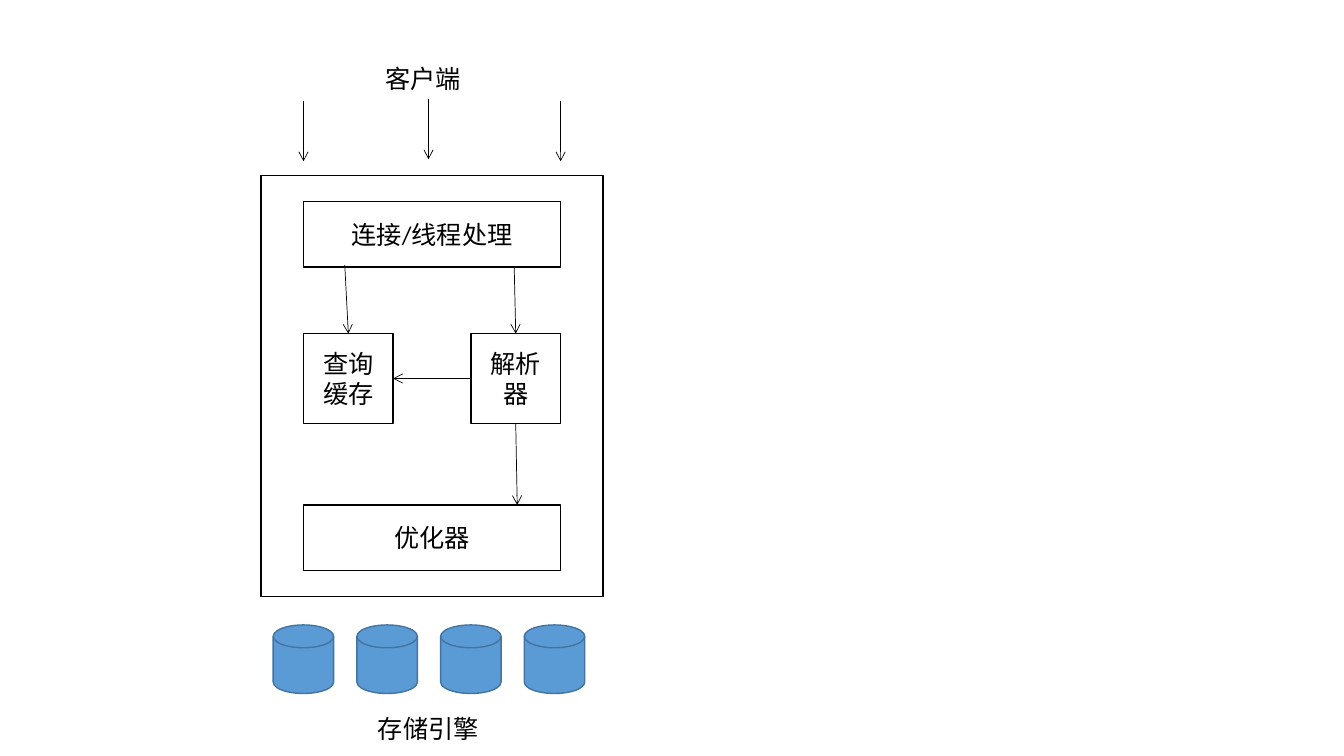
import pptx
import pptx.util
import pptx.dml.color
import pptx.enum.shapes
import pptx.enum.text
import pptx.oxml
import pptx.oxml.ns

Inches = pptx.util.Inches
Pt = pptx.util.Pt
SHAPES = pptx.enum.shapes.MSO_SHAPE
TOP, LEFT, BOTTOM, RIGHT = range(4)


def color(value):
    return pptx.dml.color.RGBColor.from_string(value)


def write(frame, text, align):
    frame.text = text
    for para in frame.paragraphs:
        para.alignment = align
        para.font.size = Pt(18)
        para.font.name = "Calibri"
        para.font.color.rgb = color("000000")


def add_shape(page, kind, left, top, width, height, fill, line):
    shape = page.shapes.add_shape(
        kind, Inches(left), Inches(top), Inches(width), Inches(height))
    shape.shadow.inherit = False
    shape.fill.solid()
    shape.fill.fore_color.rgb = color(fill)
    shape.line.color.rgb = color(line)
    shape.line.width = Pt(1)
    return shape


def add_box(page, left, top, width, height, text=""):
    box = add_shape(page, SHAPES.RECTANGLE, left, top, width, height, "FFFFFF", "000000")
    if text:
        box.text_frame.vertical_anchor = pptx.enum.text.MSO_ANCHOR.MIDDLE
        write(box.text_frame, text, pptx.enum.text.PP_ALIGN.CENTER)
    return box


def add_label(page, left, top, width, text):
    label = page.shapes.add_textbox(Inches(left), Inches(top), Inches(width), Inches(0.4))
    label.text_frame.word_wrap = False
    label.text_frame.auto_size = pptx.enum.text.MSO_AUTO_SIZE.SHAPE_TO_FIT_TEXT
    write(label.text_frame, text, pptx.enum.text.PP_ALIGN.LEFT)


def add_arrow(page, start, end, begin_at=None, end_at=None):
    arrow = page.shapes.add_connector(
        pptx.enum.shapes.MSO_CONNECTOR.STRAIGHT, *map(Inches, start + end))
    if begin_at:
        arrow.begin_connect(*begin_at)
    if end_at:
        arrow.end_connect(*end_at)
    arrow.line.color.rgb = color("000000")
    arrow.line.width = Pt(0.5)
    line = arrow.line._get_or_add_ln()
    line.append(pptx.oxml.parse_xml(
        f'<a:tailEnd {pptx.oxml.ns.nsdecls("a")} type="arrow"/>'))
    arrow._element.spPr.append(pptx.oxml.parse_xml(
        f'<a:effectLst {pptx.oxml.ns.nsdecls("a")}/>'))


def main():
    deck = pptx.Presentation()
    deck.slide_width, deck.slide_height = Inches(13.33), Inches(7.5)
    page = deck.slides.add_slide(deck.slide_layouts[6])

    add_box(page, 2.59, 1.74, 3.39, 4.18)
    add_box(page, 3.01, 2, 2.55, 0.65, "连接/线程处理")
    cache = add_box(page, 3.01, 3.31, 0.89, 0.89, "查询\n缓存")
    parser = add_box(page, 4.67, 3.31, 0.89, 0.89, "解析器")
    add_box(page, 3.01, 5.01, 2.55, 0.65, "优化器")

    add_label(page, 3.72, 0.58, 0.95, "客户端")
    for x, y in ((3.01, 1), (4.25, 0.98), (5.56, 1)):
        add_arrow(page, (x, y), (x, y + 0.6))

    add_arrow(page, (3.42, 2.63), (3.44, 3.31), end_at=(cache, TOP))
    add_arrow(page, (5.1, 2.65), (5.13, 3.31), end_at=(parser, TOP))
    add_arrow(page, (5.1, 4.2), (5.13, 5.01), begin_at=(parser, BOTTOM))
    add_arrow(page, (4.67, 3.75), (3.9, 3.75), (parser, LEFT), (cache, RIGHT))

    for column in range(4):
        add_shape(page, SHAPES.FLOWCHART_MAGNETIC_DISK, 2.71 + 0.83 * column, 6.2,
                  0.6, 0.68, "5B9BD5", "43739E")
    add_label(page, 3.65, 7.03, 1.2, "存储引擎")

    deck.save("out.pptx")


if __name__ == "__main__":
    main()
